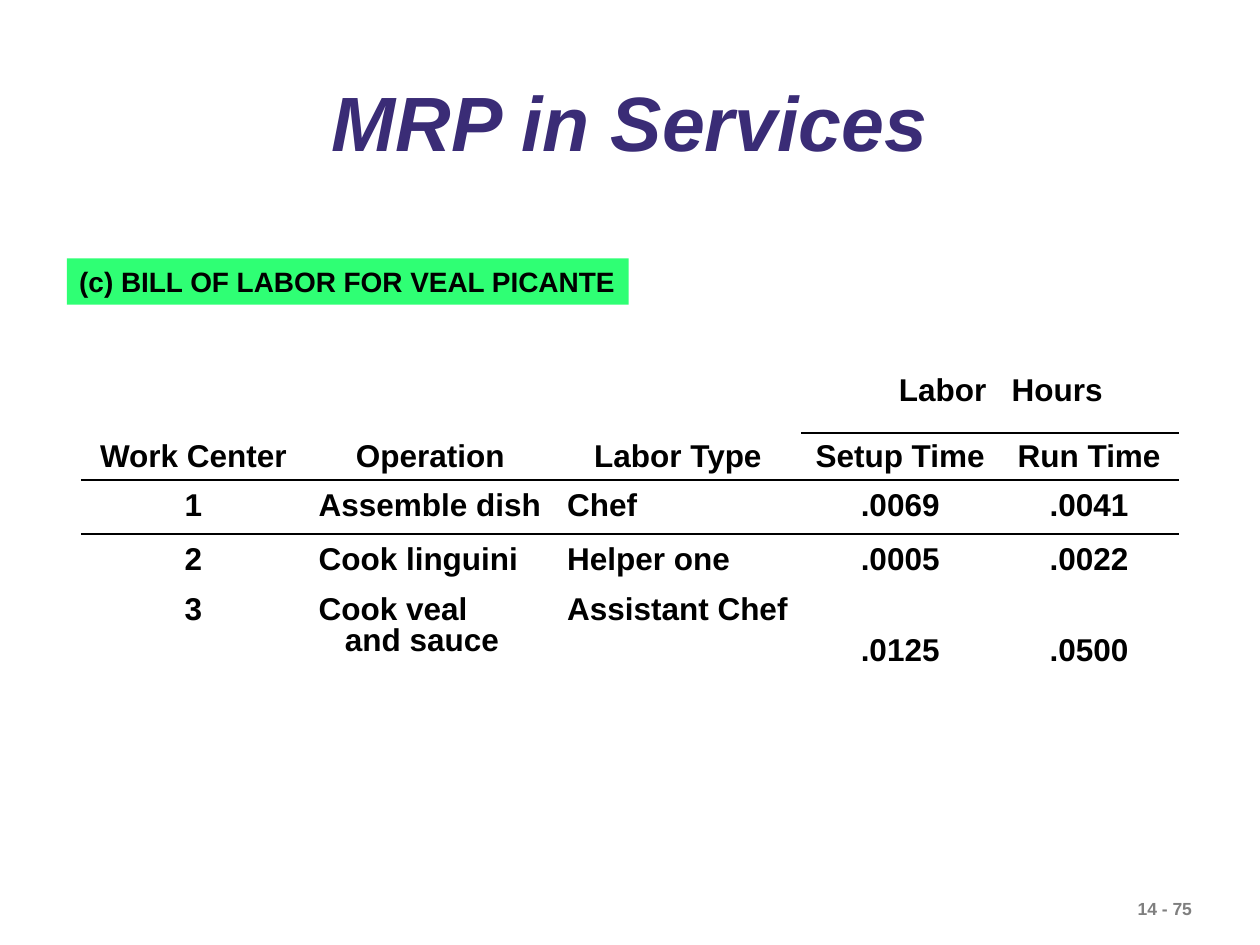
from lxml import etree
from pptx import Presentation
from pptx import util as u
from pptx.dml.color import RGBColor
from pptx.enum import shapes, text
from pptx.oxml.ns import qn

Pt = u.Pt
COLORS = {"title": "3A2C76", "label": "2FFF74", "ink": "000000", "page": "7F7F7F"}
LEFT, CENTER, RIGHT = text.PP_ALIGN.LEFT, text.PP_ALIGN.CENTER, text.PP_ALIGN.RIGHT
TOP, MIDDLE, BOTTOM = text.MSO_ANCHOR.TOP, text.MSO_ANCHOR.MIDDLE, text.MSO_ANCHOR.BOTTOM
NO_GRID_STYLE = "{2D5ABB26-0587-4C30-8999-92F81FD0307C}"


class Deck:
    font = "Arial"
    rule_width = 1.5

    def __init__(self, prs):
        self.s = prs.slides.add_slide(prs.slide_layouts[6])

    def color(self, name):
        return RGBColor.from_string(COLORS[name])

    def add_text(self, tf, words, size, color="ink", align=LEFT, italic=False, spacing=1.0):
        p = tf.paragraphs[0]
        p.alignment = align
        p.line_spacing = spacing
        for i, line in enumerate(words.split("\n")):
            if i:
                p.add_line_break()
            r = p.add_run()
            r.text = line
            r.font.name, r.font.size = self.font, Pt(size)
            r.font.bold, r.font.italic = True, italic
            r.font.color.rgb = self.color(color)
        return p

    def textbox(self, box, words, size, anchor=TOP, **style):
        tf = self.s.shapes.add_textbox(*map(Pt, box)).text_frame
        tf.word_wrap = True
        tf.vertical_anchor = anchor
        self.add_text(tf, words, size, **style)

    def label(self, box, words, size, fill):
        sp = self.s.shapes.add_shape(shapes.MSO_SHAPE.RECTANGLE, *map(Pt, box))
        sp.shadow.inherit = False
        sp.fill.solid()
        sp.fill.fore_color.rgb = self.color(fill)
        sp.line.fill.background()
        sp.text_frame.word_wrap = False
        sp.text_frame.vertical_anchor = TOP
        self.add_text(sp.text_frame, words, size)

    def table(self, left, top, widths, heights):
        frame = self.s.shapes.add_table(len(heights), len(widths), Pt(left), Pt(top),
                                        Pt(sum(widths)), Pt(sum(heights)))
        t = frame.table
        t.first_row = t.horz_banding = False
        t._tbl.tblPr.find(qn("a:tableStyleId")).text = NO_GRID_STYLE
        for col, width in zip(t.columns, widths):
            col.width = Pt(width)
        for row, height in zip(t.rows, heights):
            row.height = Pt(height)
        for cell in t.iter_cells():
            cell.fill.background()
        return t

    def cell(self, cell, words, size, align, anchor):
        cell.vertical_anchor = anchor
        p = self.add_text(cell.text_frame, words, size, align=align, spacing=0.9)
        p.space_after = Pt(9)
        return p

    def edge(self, cell, tag):
        ln = etree.Element(qn(f"a:{tag}"), w=str(Pt(self.rule_width)))
        fill = etree.SubElement(ln, qn("a:solidFill"))
        etree.SubElement(fill, qn("a:srgbClr"), val=COLORS["ink"])
        tc_pr = cell._tc.get_or_add_tcPr()
        # Borders come before the fill, top before bottom
        tc_pr.insert(len(tc_pr.findall(qn("a:lnT"))), ln)

    def rule_below(self, t, row, cols):
        for c in cols:
            self.edge(t.cell(row, c), "lnB")
            self.edge(t.cell(row + 1, c), "lnT")


def main():
    prs = Presentation()
    prs.slide_width, prs.slide_height = Pt(720), Pt(540)
    deck = Deck(prs)

    # Page number, title and section label
    deck.textbox((643, 509.8, 77, 19.4), "14 - 75", 10, color="page")
    deck.textbox((54, 36.7, 612, 71.3), "MRP in Services", 44, MIDDLE,
                 color="title", align=CENTER, italic=True, spacing=0.9)
    deck.label((38.2, 147.6, 321, 26.6), "(c) BILL OF LABOR FOR VEAL PICANTE", 16, "label")

    # Labor table
    rows = [
        ("", "", "", "Labor", "Hours"),
        ("Work Center", "Operation", "Labor Type", "Setup Time", "Run Time"),
        ("1", "Assemble dish", "Chef", ".0069", ".0041"),
        ("2", "Cook linguini", "Helper one", ".0005", ".0022"),
        ("3", "Cook veal \nand sauce", "Assistant Chef", ".0125", ".0500"),
    ]
    body = (CENTER, LEFT, LEFT, CENTER, CENTER)
    aligns = [(LEFT, LEFT, LEFT, RIGHT, LEFT), (CENTER,) * 5, body, body, body]
    anchors = [(TOP,) * 5, (BOTTOM,) * 5, (MIDDLE,) * 5, (MIDDLE,) * 5,
               (TOP, TOP, TOP, BOTTOM, BOTTOM)]
    t = deck.table(46.2, 211.5, (128.7, 142, 141, 113, 103), (36, 26.8, 31, 31, 49))
    for i, row in enumerate(rows):
        for j, words in enumerate(row):
            if words:
                p = deck.cell(t.cell(i, j), words, 18, aligns[i][j], anchors[i][j])
                if "\n" in words:
                    # Hanging indent for the wrapped operation
                    p_pr = p._p.get_or_add_pPr()
                    p_pr.set("marL", str(Pt(15)))
                    p_pr.set("indent", str(-Pt(15)))

    # Rules under the two header rows
    deck.rule_below(t, 0, (3, 4))
    deck.rule_below(t, 1, range(5))

    prs.save("out.pptx")


if __name__ == "__main__":
    main()
